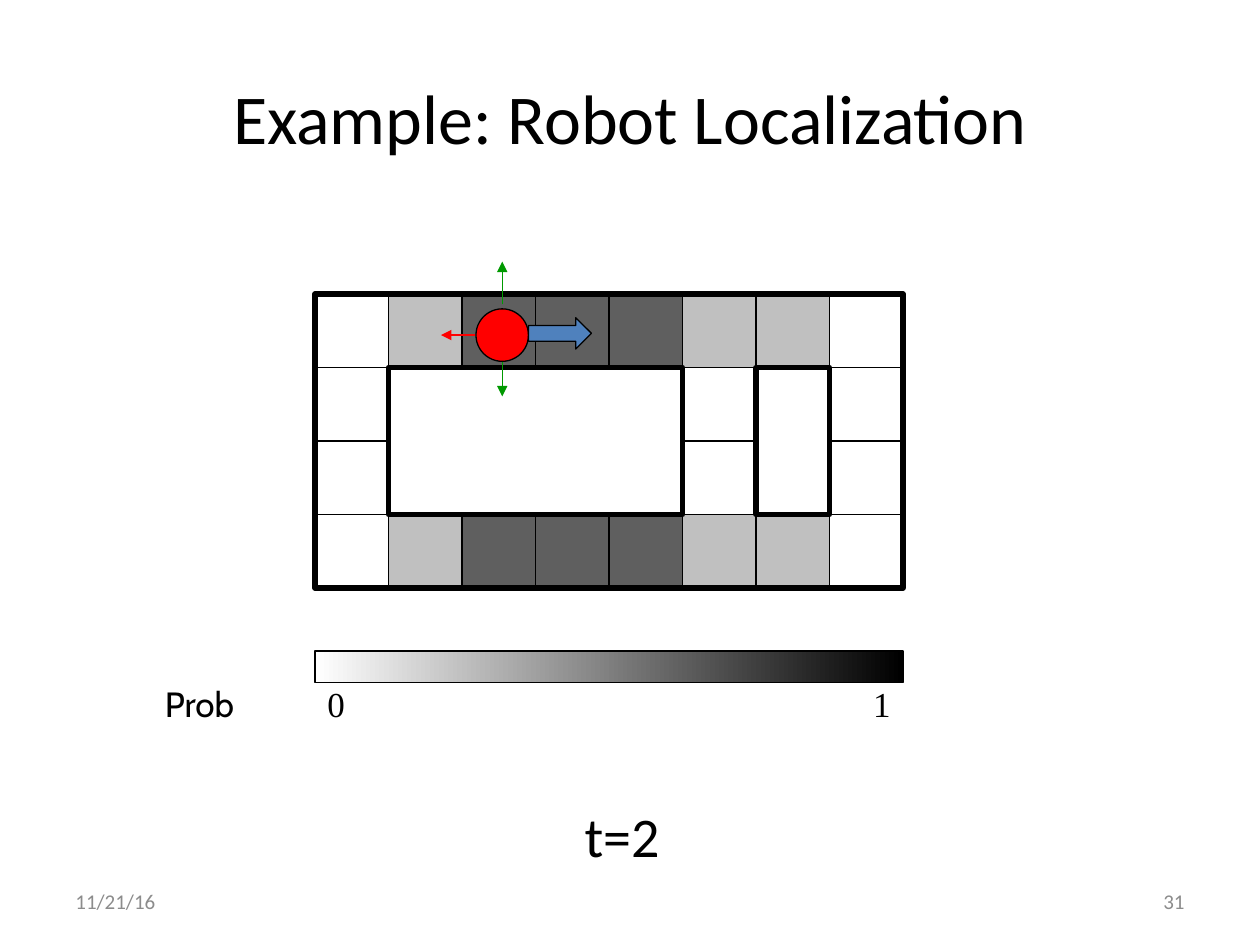
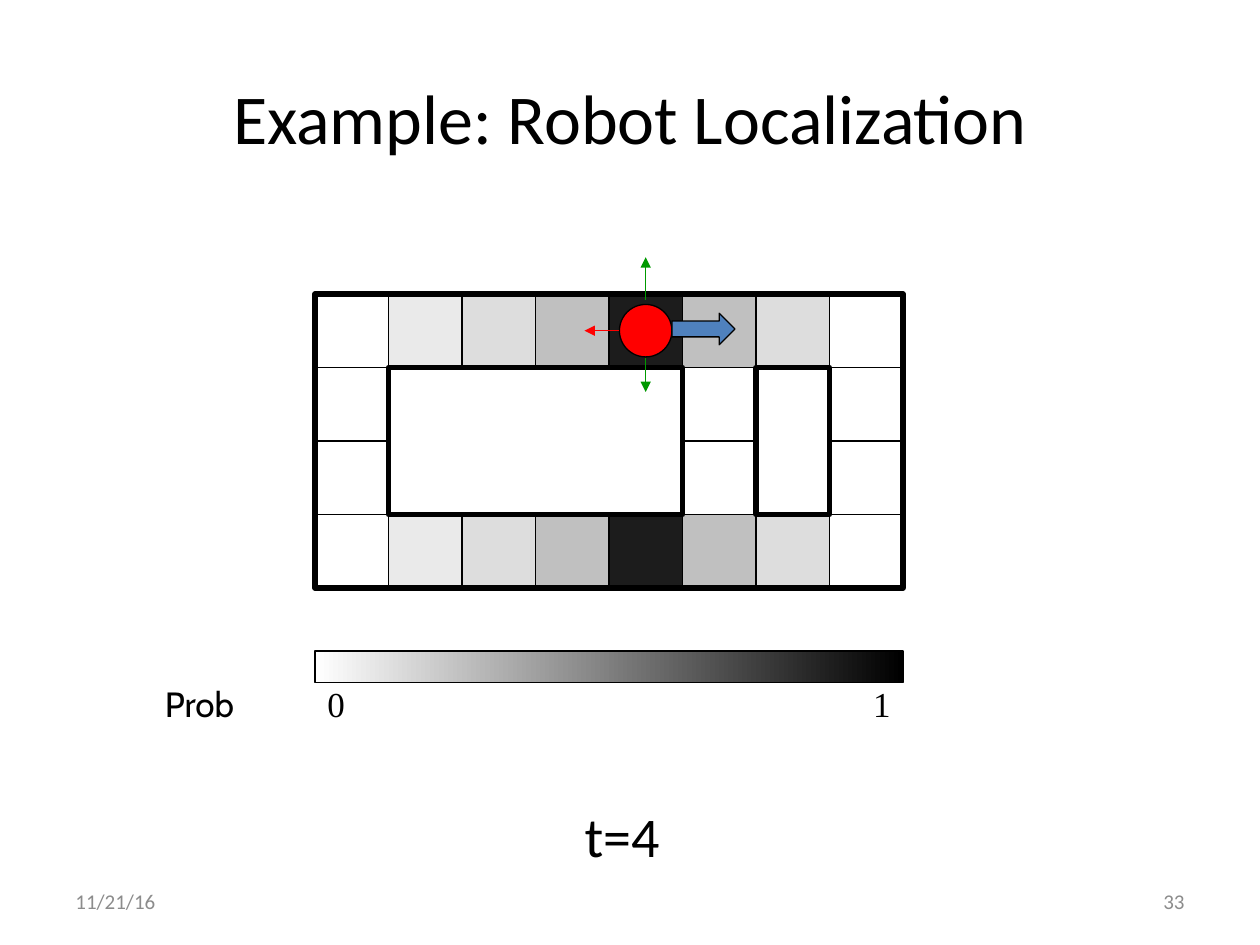
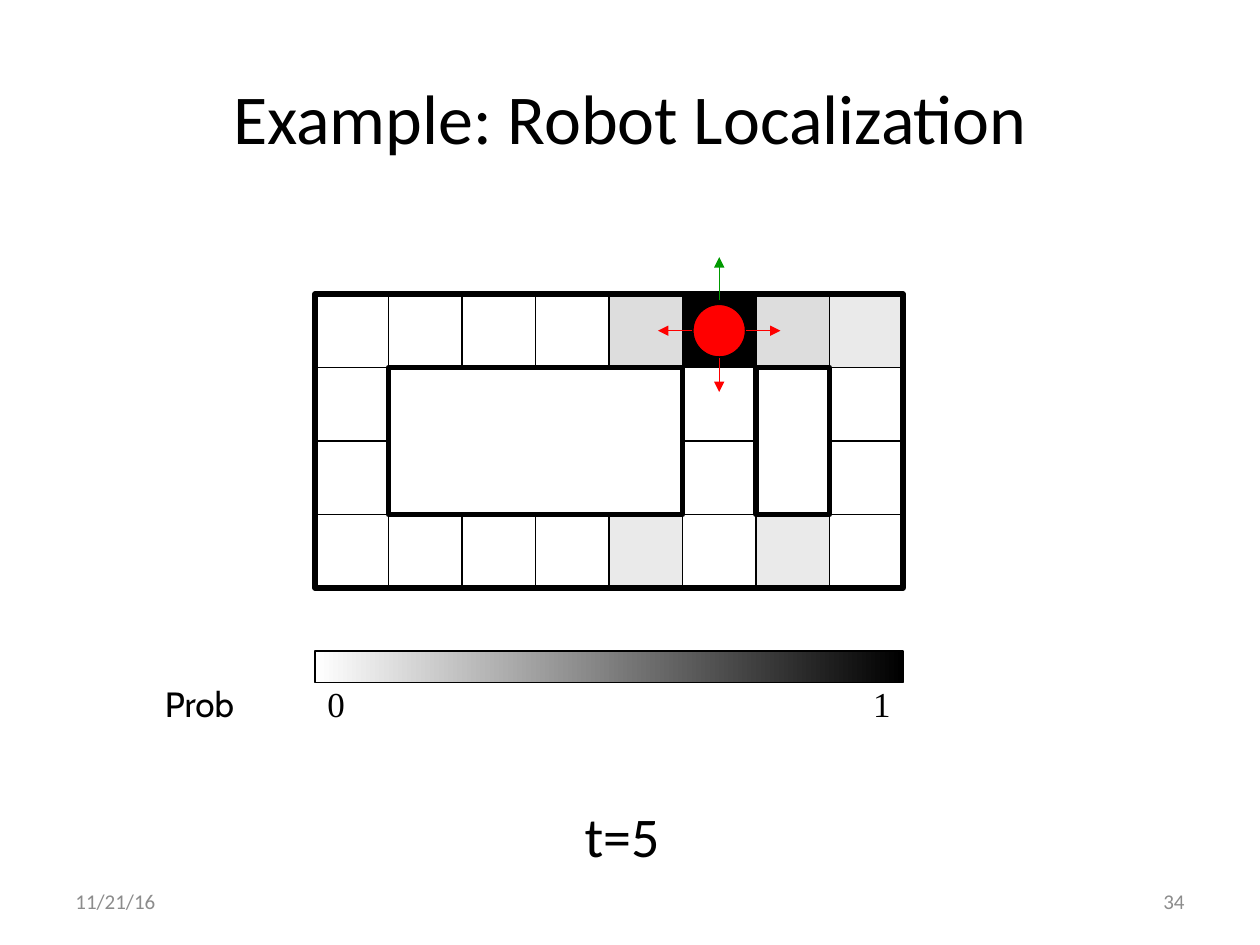
"""Build three slides that show a robot locating itself on a grid map."""
from lxml.etree import SubElement
from pptx import Presentation
from pptx.dml.color import RGBColor
from pptx.enum.shapes import MSO_CONNECTOR, MSO_SHAPE
from pptx.enum.text import MSO_ANCHOR, PP_ALIGN
from pptx.oxml.ns import qn
from pptx.util import Pt

COLORS = {
    "black": "000000", "white": "FFFFFF", "footer": "8C8C8C",
    "free": "FF0000", "wall": "009900", "move": "4F81BD",
}
SHADES = {"a": "EAEAEA", "b": "DDDDDD", "c": "C0C0C0",
          "d": "5F5F5F", "e": "1C1C1C", "f": "000000"}
CELL = 42
COLS, ROWS = 8, 4
MIDDLE_ROW = ".####.#."
OBSTACLES = [(1, 1, 4, 2, "white"), (6, 1, 1, 2, None)]
DIRECTIONS = {"up": (0, -1), "down": (0, 1), "right": (1, 0), "left": (-1, 0)}
BALL = 30

STEPS = [
    {"t": "t=2", "page": "31", "top": ".cdddcc.", "bottom": ".cdddcc.",
     "robot": (107, 23.5), "moving": True,
     "sensors": {"up": "wall", "down": "wall", "left": "free"}},
    {"t": "t=4", "page": "33", "top": ".abcecb.", "bottom": ".abcecb.",
     "robot": (189, 21), "moving": True,
     "sensors": {"up": "wall", "down": "wall", "left": "free"}},
    {"t": "t=5", "page": "34", "top": "....bfba", "bottom": "....a.a.",
     "robot": (231, 21), "moving": False,
     "sensors": {"up": "wall", "down": "free", "right": "free", "left": "free"}},
]


def rgb(name):
    """Return the colour with the given name."""
    return RGBColor.from_string(COLORS[name])


def add_text(s, box, text, size, font="Calibri", color="black",
             align=PP_ALIGN.LEFT, anchor=MSO_ANCHOR.MIDDLE, wrap=True):
    """Add a one-line text box."""
    tf = s.shapes.add_textbox(*map(Pt, box)).text_frame
    tf.word_wrap = wrap
    tf.vertical_anchor = anchor
    p = tf.paragraphs[0]
    p.alignment = align
    r = p.add_run()
    r.text = text
    r.font.size = Pt(size)
    r.font.name = font
    r.font.color.rgb = rgb(color)


def add_outlined(s, kind, box, fill=None, width=0.75):
    """Add a black-outlined shape, filled with a hex colour or left open."""
    sp = s.shapes.add_shape(kind, *map(Pt, box))
    sp.shadow.inherit = False
    if fill:
        sp.fill.solid()
        sp.fill.fore_color.rgb = RGBColor.from_string(fill)
    else:
        sp.fill.background()
    sp.line.color.rgb = rgb("black")
    sp.line.width = Pt(width)
    return sp


def add_arrow(s, start, end, color):
    """Add a thin straight arrow."""
    cxn = s.shapes.add_connector(MSO_CONNECTOR.STRAIGHT, *map(Pt, start + end))
    cxn.line.color.rgb = rgb(color)
    cxn.line.width = Pt(0.75)
    SubElement(cxn.line._get_or_add_ln(), qn("a:tailEnd"), type="triangle")
    SubElement(cxn._element.spPr, qn("a:effectLst"))


def add_frame(s, t, page):
    """Add the title, time caption, date and page number."""
    add_text(s, (36, 21.6, 648, 90), "Example: Robot Localization", 40,
             align=PP_ALIGN.CENTER)
    add_text(s, (49.5, 454.5, 612, 72), t, 32,
             align=PP_ALIGN.CENTER, anchor=MSO_ANCHOR.TOP)
    add_text(s, (36, 500.5, 168, 28.75), "11/21/16", 12, color="footer")
    add_text(s, (516, 500.5, 168, 28.75), page, 12, color="footer",
             align=PP_ALIGN.RIGHT)


def add_map(s, x, y, rows):
    """Add the shaded cells, the obstacles and the outer wall."""
    for j, row in enumerate(rows):
        for i, code in enumerate(row):
            if code != "#":
                add_outlined(s, MSO_SHAPE.RECTANGLE,
                             (x + i * CELL, y + j * CELL, CELL, CELL),
                             SHADES.get(code))
    for i, j, w, h, fill in OBSTACLES + [(0, 0, COLS, ROWS, None)]:
        add_outlined(s, MSO_SHAPE.RECTANGLE,
                     (x + i * CELL, y + j * CELL, w * CELL, h * CELL),
                     COLORS.get(fill), 3)


def add_scale(s, x, y, w):
    """Add the probability gradient with its labels."""
    sp = add_outlined(s, MSO_SHAPE.RECTANGLE, (x, y, w, 18))
    sp.fill.gradient()
    sp.fill.gradient_angle = 0
    for stop, name, position in zip(sp.fill.gradient_stops, ("white", "black"), (0, 1)):
        stop.color.rgb = rgb(name)
        stop.position = position
    for left, width, text, font, align in (
            (x + w / 2, w / 2, "1", "Times New Roman", PP_ALIGN.RIGHT),
            (x, w / 2, "0", "Times New Roman", PP_ALIGN.LEFT),
            (x - 120, 108, "Prob", "Cabin", PP_ALIGN.CENTER)):
        add_text(s, (left, y + 18, width, 24), text, 20, font, align=align, wrap=False)


def add_robot(s, x, y, sensors, moving):
    """Add the robot centred on a point, with its sensor and motion arrows."""
    add_outlined(s, MSO_SHAPE.OVAL, (x - BALL / 2, y - BALL / 2, BALL, BALL),
                 COLORS["free"])
    for side, color in sensors.items():
        dx, dy = DIRECTIONS[side]
        near, far = (17.5, 42) if side == "up" else (15.5, 35)
        add_arrow(s, (x + dx * near, y + dy * near),
                  (x + dx * far, y + dy * far), color)
    if moving:
        add_outlined(s, MSO_SHAPE.RIGHT_ARROW, (x + 15, y - 10, 36, 18),
                     COLORS["move"])


def add_step(prs, step):
    """Add the slide for one time step."""
    s = prs.slides.add_slide(prs.slide_layouts[6])
    x, y = 180, 168
    add_frame(s, step["t"], step["page"])
    add_map(s, x, y, [step["top"], MIDDLE_ROW, MIDDLE_ROW, step["bottom"]])
    add_scale(s, x, y + 204, COLS * CELL)
    dx, dy = step["robot"]
    add_robot(s, x + dx, y + dy, step["sensors"], step["moving"])


def main():
    """Build and save the presentation."""
    prs = Presentation()
    prs.slide_width, prs.slide_height = Pt(720), Pt(540)
    for step in STEPS:
        add_step(prs, step)
    prs.save("out.pptx")


if __name__ == "__main__":
    main()
